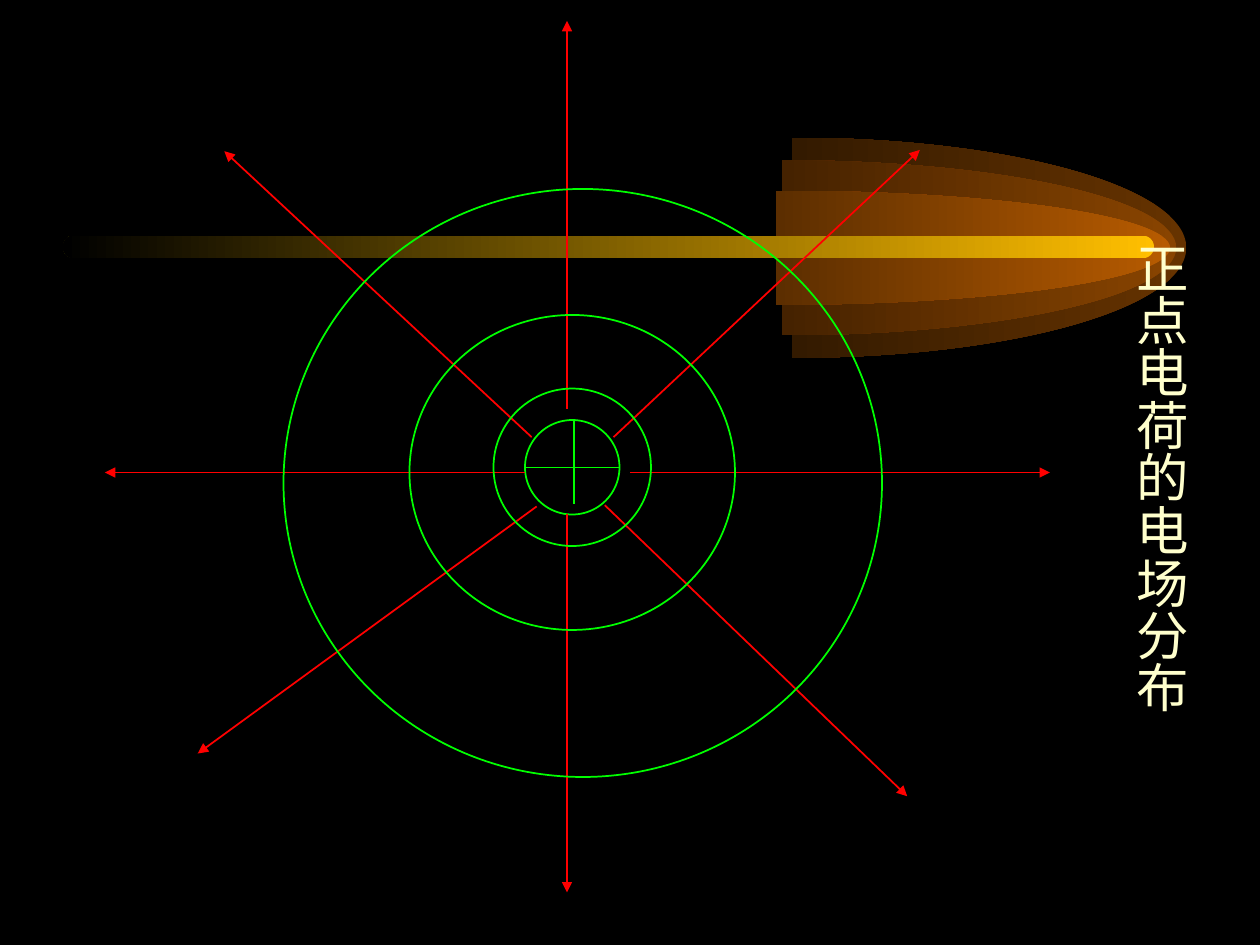
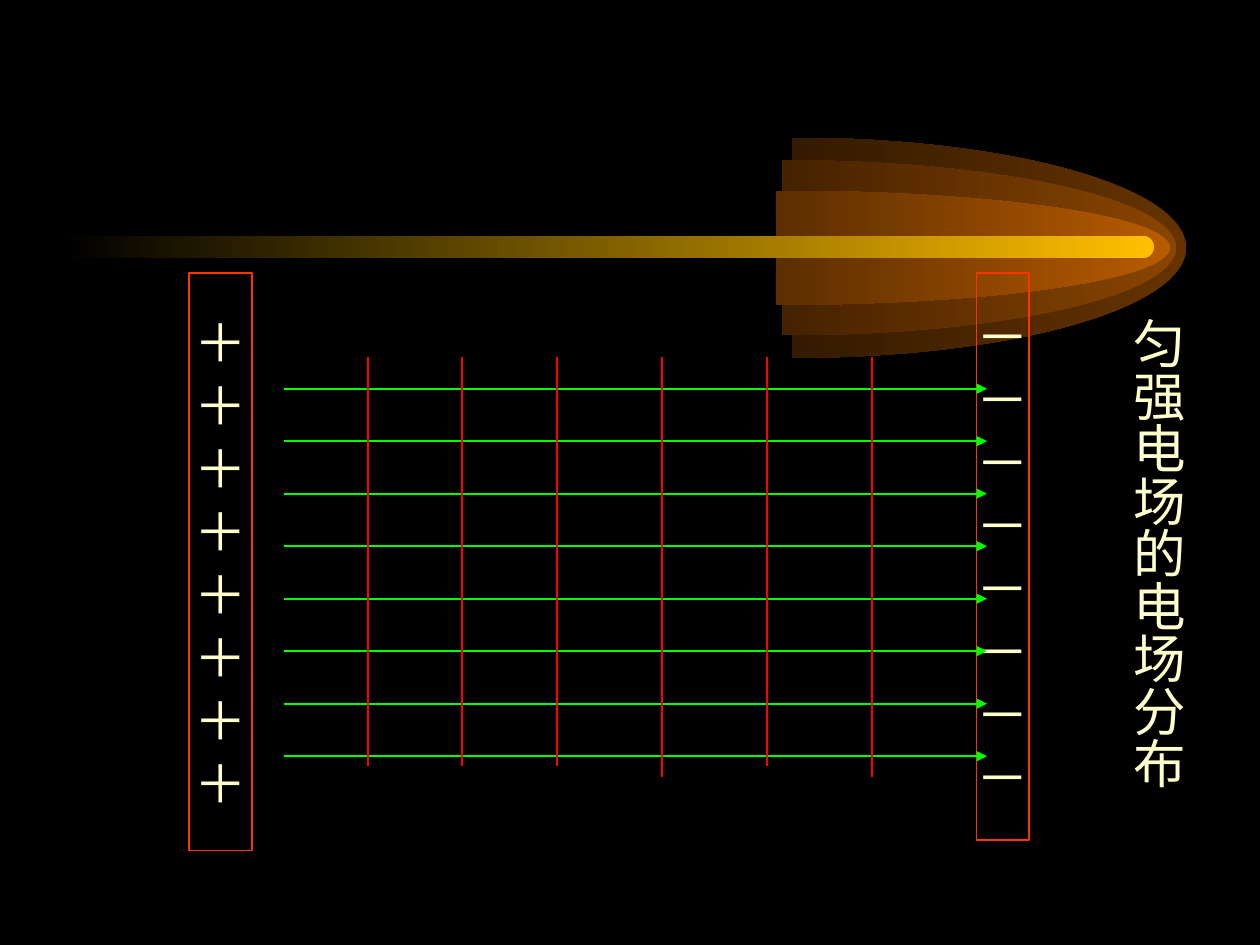
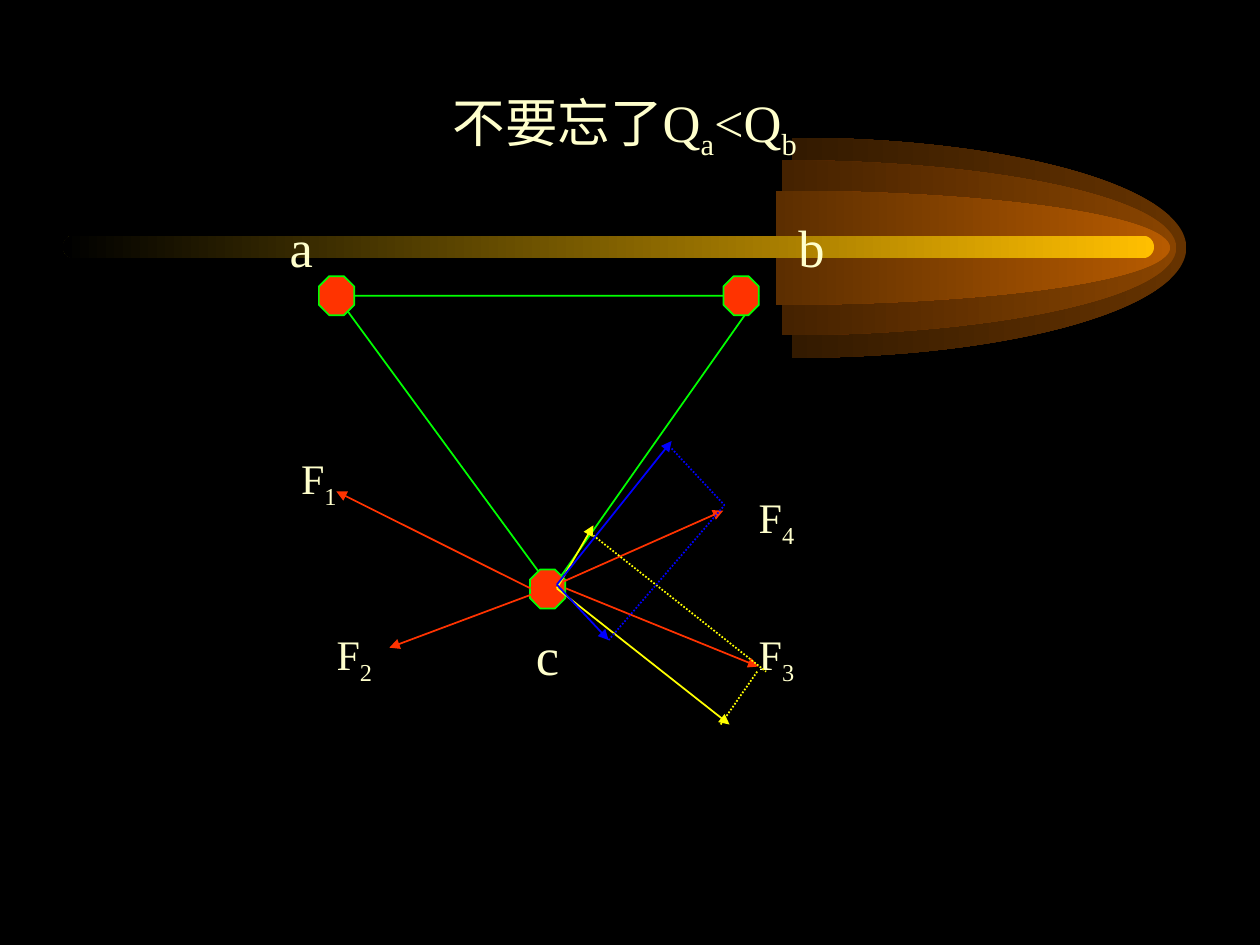
"""Build three slides on electric field patterns and forces between charges."""
from lxml import etree
from pptx import Presentation
from pptx.dml.color import RGBColor
from pptx.enum.dml import MSO_LINE
from pptx.enum.shapes import MSO_CONNECTOR, MSO_SHAPE
from pptx.enum.text import MSO_ANCHOR, MSO_AUTO_SIZE, PP_ALIGN
from pptx.oxml.ns import qn
from pptx.util import Pt

BLACK = RGBColor(0x00, 0x00, 0x00)
CREAM = RGBColor(0xFF, 0xFF, 0xCC)
GREEN = RGBColor(0x00, 0xFF, 0x00)
RED = RGBColor(0xFF, 0x00, 0x00)
ORANGE = RGBColor(0xFF, 0x33, 0x00)
YELLOW = RGBColor(0xFF, 0xFF, 0x00)
BLUE = RGBColor(0x00, 0x00, 0xFF)
GOLD = RGBColor(0xFF, 0xBF, 0x00)
COMET_SHELLS = (
    (452.6, 62.9, RGBColor(0x66, 0x33, 0x00), RGBColor(0x33, 0x1A, 0x00)),
    (446.9, 50, RGBColor(0x89, 0x44, 0x00), RGBColor(0x45, 0x22, 0x00)),
    (443.4, 32.6, RGBColor(0xB7, 0x5B, 0x00), RGBColor(0x5C, 0x2E, 0x00)),
)
COMET_AXIS, COMET_REACH = 141.6, 225.3
ARC = 0.5523

FONT = "Times New Roman"
OVAL, RECT, ROUNDED = MSO_SHAPE.OVAL, MSO_SHAPE.RECTANGLE, MSO_SHAPE.ROUNDED_RECTANGLE
OCTAGON, TRIANGLE = MSO_SHAPE.OCTAGON, MSO_SHAPE.ISOSCELES_TRIANGLE
STRAIGHT, DOTTED = MSO_CONNECTOR.STRAIGHT, MSO_LINE.ROUND_DOT
CENTER, MIDDLE = PP_ALIGN.CENTER, MSO_ANCHOR.MIDDLE
GROW = MSO_AUTO_SIZE.SHAPE_TO_FIT_TEXT


def write(shape, text, size=30, color=CREAM, vertical=False):
    """Write centred text; every second part between bars is a subscript."""
    frame = shape.text_frame
    frame.word_wrap = False
    frame.vertical_anchor = MIDDLE
    if vertical:
        shape.element.txBody.bodyPr.set("vert", "eaVert")
        frame.auto_size = GROW
        frame.margin_left = frame.margin_right = Pt(3.6)
        frame.margin_top = frame.margin_bottom = Pt(7.2)
    for row, content in enumerate(text.split("\n")):
        paragraph = frame.add_paragraph() if row else frame.paragraphs[0]
        paragraph.alignment = CENTER
        for position, part in enumerate(content.split("|")):
            run = paragraph.add_run()
            run.text = part
            run.font.name = FONT
            run.font.size = Pt(size)
            run.font.color.rgb = color
            if position % 2:
                run._r.get_or_add_rPr().set("baseline", "-25000")


def fade(shape, bright, dim):
    """Fill a shape with a gradient from right to left and no outline."""
    shape.shadow.inherit = False
    shape.line.fill.background()
    shape.fill.gradient()
    shape.fill.gradient_angle = 180
    for stop, color in zip(shape.fill.gradient_stops, (bright, dim)):
        stop.color.rgb = color


def round_off(shape, curves):
    """Turn each leading three line segments of an outline into one curve."""
    segments = list(shape.element.iter(qn("a:lnTo")))
    for first in range(0, curves * 3, 3):
        curve = etree.Element(qn("a:cubicBezTo"))
        segments[first].addprevious(curve)
        for segment in segments[first:first + 3]:
            curve.append(segment[0])
            segment.getparent().remove(segment)


class Deck:
    """Hold the shared style and the current slide."""

    def __init__(self):
        """Set the slide size and the black background."""
        self.prs = Presentation()
        self.prs.slide_width, self.prs.slide_height = Pt(720), Pt(540)
        background = self.prs.slide_master.background.fill
        background.solid()
        background.fore_color.rgb = BLACK
        self.shapes = None

    def new_slide(self):
        """Start a blank slide with the comet band."""
        self.shapes = self.prs.slides.add_slide(self.prs.slide_layouts[6]).shapes
        for left, radius, bright, dim in COMET_SHELLS:
            self.comet_shell(left, radius, bright, dim)
        tail = self.shapes.add_shape(ROUNDED, Pt(36), Pt(134.6), Pt(623.5), Pt(13))
        tail.adjustments[0] = 0.5
        fade(tail, GOLD, BLACK)

    def comet_shell(self, left, radius, bright, dim):
        """Draw the right half of an ellipse."""
        rim = [(Pt(left + COMET_REACH * x), Pt(COMET_AXIS + radius * y))
               for x, y in ((0, -1), (ARC, -1), (1, -ARC), (1, 0),
                            (1, ARC), (ARC, 1), (0, 1), (0, 0))]
        builder = self.shapes.build_freeform(*rim[0])
        builder.add_line_segments(rim[1:], close=True)
        shell = builder.convert_to_shape()
        round_off(shell, 2)
        fade(shell, bright, dim)

    def outline(self, kind, left, top, width, height, line=GREEN, fill=None):
        """Draw a preset shape with a thin outline."""
        shape = self.shapes.add_shape(kind, Pt(left), Pt(top), Pt(width), Pt(height))
        shape.shadow.inherit = False
        shape.line.color.rgb = line
        shape.line.width = Pt(1)
        if fill is None:
            shape.fill.background()
        else:
            shape.fill.solid()
            shape.fill.fore_color.rgb = fill
        return shape

    def line(self, x1, y1, x2, y2, color, arrow=False, dash=None):
        """Draw a straight line, with an arrowhead or dashes if asked."""
        connector = self.shapes.add_connector(STRAIGHT, Pt(x1), Pt(y1), Pt(x2), Pt(y2))
        connector.line.color.rgb = color
        connector.line.width = Pt(1)
        if dash is not None:
            connector.line.dash_style = dash
        properties = connector.element.spPr
        if arrow:
            etree.SubElement(properties.find(qn("a:ln")), qn("a:tailEnd"), type="triangle")
        etree.SubElement(properties, qn("a:effectLst"))

    def label(self, text, left, top, width, height, **style):
        """Place a text box."""
        box = self.shapes.add_textbox(Pt(left), Pt(top), Pt(width), Pt(height))
        write(box, text, **style)

    def side_title(self, text, left, top):
        """Place a vertical title at the right."""
        self.label(text, left, top, 50.4, 277.2, vertical=True)


def point_charge(deck):
    """Show the field of a positive point charge."""
    deck.new_slide()
    deck.outline(OVAL, 300, 240, 54, 54)
    deck.line(300, 267.2, 354, 267.2, GREEN)
    deck.line(328.2, 240, 328.2, 288, GREEN)
    field_lines = (
        (360, 270, 600, 270), (300, 270, 60, 270),
        (324, 233.5, 324, 12), (345.6, 288.7, 518.4, 455),
        (350.6, 249.8, 525.6, 85.7), (303.8, 249.8, 128.2, 86.4),
        (306.7, 289.4, 113, 430.6), (324, 294, 324, 510),
    )
    for ends in field_lines:
        deck.line(*ends, RED, arrow=True)
    deck.side_title("正点电荷的电场分布", 638, 131)
    for equipotential in ((282, 222, 90, 90), (234, 180, 186, 180), (162, 108, 342, 336)):
        deck.outline(OVAL, *equipotential)


def uniform_field(deck):
    """Show the uniform field between two charged plates."""
    deck.new_slide()
    deck.side_title("匀强电场的电场分布", 636.5, 174.2)
    for sign, left, width, height in (("＋", 108, 36, 330), ("－", 558, 30, 324)):
        plate = deck.outline(RECT, left, 156, width, height, line=ORANGE)
        write(plate, "\n".join([sign] * 8))
    for row in range(8):
        y = 222.1 + 30 * row
        deck.line(162, y, 564, y, GREEN, arrow=True)
    for x, bottom in ((210.1, 438), (264.1, 438), (318.1, 438),
                      (378.1, 444), (438.1, 438), (498.1, 444)):
        deck.line(x, 204, x, bottom, RED)


def three_charges(deck):
    """Show the forces on charge c from charges a and b."""
    deck.new_slide()
    triangle = deck.outline(TRIANGLE, 192.2, 169, 241.2, 167.8)
    triangle.rotation = 180
    triangle.adjustments[0] = 0.49
    for left, top in ((182.2, 157.8), (302.8, 325.4), (413.4, 157.8)):
        deck.outline(OCTAGON, left, top, 20.2, 22.3, fill=ORANGE)
    for name, left, top in (("c", 272.6, 334.8), ("a", 131.8, 101.8), ("b", 423.4, 101.8)):
        deck.label(name, left, top, 80.6, 78.5)
    forces = (
        ("F|1", 131.8, 224.6, (303.1, 336.2, 192.2, 280.8)),
        ("F|2", 152.1, 325.4, (313.2, 336.2, 222.5, 370.1)),
        ("F|3", 393.3, 325.4, (323.3, 336.2, 433.4, 380.9)),
        ("F|4", 393.3, 247, (313.2, 336.2, 413.3, 291.8)),
    )
    for name, left, top, ends in forces:
        deck.line(*ends, ORANGE, arrow=True)
        deck.label(name, left, top, 100.8, 100.8, size=24)
    parallelograms = (
        (YELLOW,
         ((318.2, 336.2, 339.1, 300.2), (318.2, 336.2, 416.9, 414)),
         ((339.1, 306, 437.8, 383.8), (432.7, 383.8, 411.8, 414))),
        (BLUE,
         ((318.2, 334.1, 383.8, 252), (318.2, 334.1, 347.8, 365.8)),
         ((347.8, 365.8, 414, 288.7), (383.8, 256.3, 414, 288.7))),
    )
    for color, components, guides in parallelograms:
        for ends in components:
            deck.line(*ends, color, arrow=True)
        for ends in guides:
            deck.line(*ends, color, dash=DOTTED)
    deck.label("不要忘了Q|a|<Q|b", 126, 36, 462, 72)


def main():
    """Build and save the slides."""
    deck = Deck()
    point_charge(deck)
    uniform_field(deck)
    three_charges(deck)
    deck.prs.save("out.pptx")


if __name__ == "__main__":
    main()
